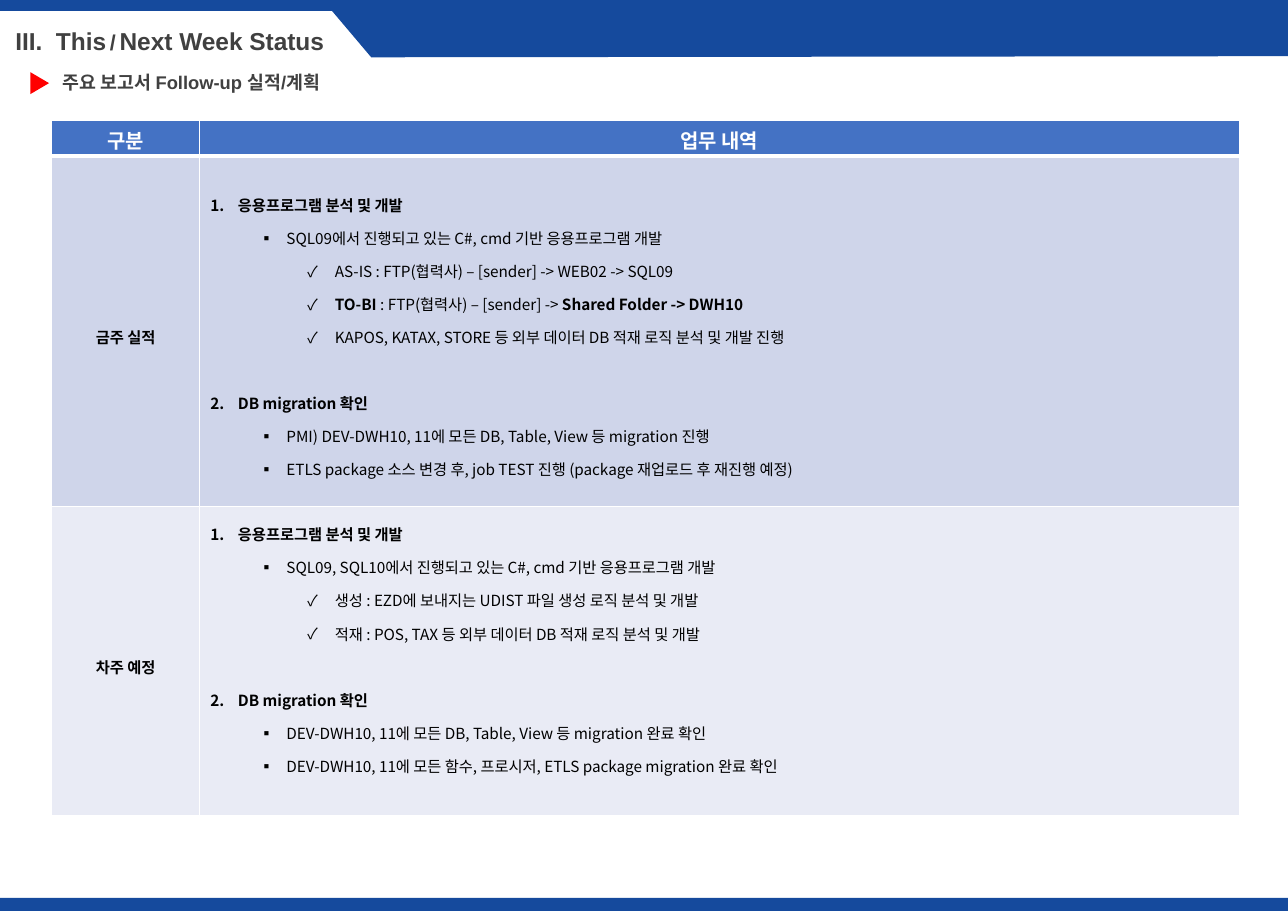
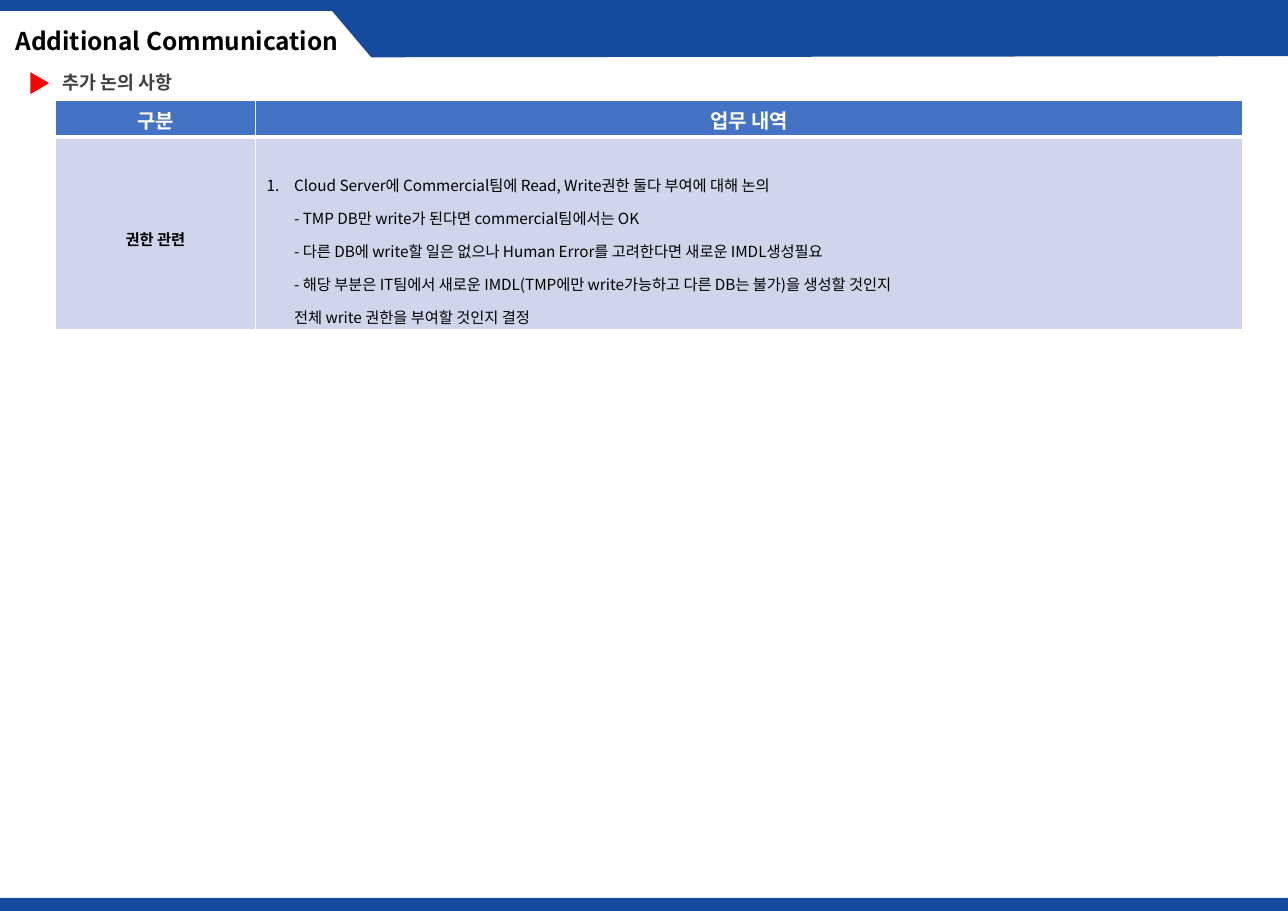
from lxml import etree
from pptx import Presentation
from pptx import util as u
from pptx.dml.color import RGBColor
from pptx.enum import shapes, text
from pptx.oxml import ns

Inches, Pt = u.Inches, u.Pt
KOREAN, LATIN = "Noto Sans CJK KR", "Arial"
NAVY, BLUE, GREY, WHITE, BLACK = "154A9D", "4472C4", "404040", "FFFFFF", "000000"
ROW_FILLS = [BLUE, "CFD5EA", "E9EBF5"]
HEADER_HEIGHT = 0.33
LINE = 21.6  # height in points of one 10 pt line at 1.5 spacing


def rgb(value):
    return RGBColor.from_string(value)


def add_span(para, words, size, color, bold=True, font=KOREAN):
    span = para.add_run()
    span.text = words
    span.font.size = Pt(size)
    span.font.bold = bold
    span.font.color.rgb = rgb(color)
    span.font.name = font
    east_asian = etree.SubElement(span._r.get_or_add_rPr(), ns.qn("a:ea"))
    east_asian.set("typeface", KOREAN)
    return span


# Content: title runs are (words, size, letter spacing); list lines are
# (level, run, run, ...), where a run is (words, bold)
WEEK_ROWS = [
    ("금주 실적", [
        (0, ("응용프로그램 분석 및 개발", True)),
        (1, ("SQL09에서 진행되고 있는 C#, cmd 기반 응용프로그램 개발", False)),
        (2, ("AS-IS : FTP(협력사) – [sender] -> WEB02 -> SQL09", False)),
        (2, ("TO-BI", True), (" : FTP(협력사) – [sender] -> ", False),
         ("Shared Folder -> DWH10", True)),
        (2, ("KAPOS, KATAX, STORE 등 외부 데이터 DB 적재 로직 분석 및 개발 진행", False)),
        (0, ("DB migration 확인", True)),
        (1, ("PMI) DEV-DWH10, 11에 모든 DB, Table, View 등 migration 진행", False)),
        (1, ("ETLS package 소스 변경 후, job TEST 진행 (package 재업로드 후 재진행 예정)", False)),
    ]),
    ("차주 예정", [
        (0, ("응용프로그램 분석 및 개발", True)),
        (1, ("SQL09, SQL10에서 진행되고 있는 C#, cmd 기반 응용프로그램 개발", False)),
        (2, ("생성 : EZD에 보내지는 UDIST 파일 생성 로직 분석 및 개발", False)),
        (2, ("적재 : POS, TAX 등 외부 데이터 DB 적재 로직 분석 및 개발", False)),
        (0, ("DB migration 확인", True)),
        (1, ("DEV-DWH10, 11에 모든 DB, Table, View 등 migration 완료 확인", False)),
        (1, ("DEV-DWH10, 11에 모든 함수, 프로시저, ETLS package migration 완료 확인", False)),
    ]),
]
ACCESS_ROWS = [
    ("권한 관련", [
        (0, ("Cloud Server에 Commercial팀에 Read, Write권한 둘다 부여에 대해 논의\n"
             "- TMP DB만 write가 된다면 commercial팀에서는 OK\n"
             "- 다른 DB에 write할 일은 없으나 Human Error를 고려한다면 새로운 IMDL생성필요\n"
             "- 해당 부분은 IT팀에서 새로운 IMDL(TMP에만 write가능하고 다른 DB는 불가)을 생성할 것인지\n"
             "전체 write 권한을 부여할 것인지 결정", False)),
    ]),
]
MIDDLE, BOTTOM = text.MSO_ANCHOR.MIDDLE, text.MSO_ANCHOR.BOTTOM
PAGES = [
    dict(title=[("III.  This", 16, 0), (" / ", 14, -150), ("Next Week Status", 16, 0)],
         font=LATIN, color=GREY, subtitle="주요 보고서 Follow-up 실적/계획",
         corner=(0.47, 1.09), columns=(1.34, 9.44), heights=(3.18, 2.8),
         rows=WEEK_ROWS, anchor=MIDDLE, bottoms=(0.05, 0.35)),
    dict(title=[("Additional Communication", 16, 0)],
         font=KOREAN, color=BLACK, subtitle="추가 논의 사항",
         corner=(0.5, 0.91), columns=(1.82, 8.96), heights=(1.75,),
         rows=ACCESS_ROWS, anchor=BOTTOM, bottoms=(0.01,)),
]

deck = Presentation()
deck.slide_width, deck.slide_height = Inches(11.69), Inches(8.27)
layout = deck.slide_layouts.get_by_name("Title Only")

# Layout: title position only, without date, footer and number
layout_title, *unused = layout.placeholders
for placeholder in unused:
    placeholder.element.getparent().remove(placeholder.element)
layout_title.left, layout_title.top = Inches(0.03), Inches(0.18)
layout_title.width, layout_title.height = Inches(3.2), Inches(0.38)
slides = [deck.slides.add_slide(layout) for _ in PAGES]

# Layout: bands drawn once, then moved from the first slide to the layout
canvas = slides[0].shapes
outline = canvas.build_freeform(Inches(2.93), 0)
outline.add_line_segments([(Inches(x), Inches(y)) for x, y in
                           [(11.69, 0), (11.69, 0.51), (3.37, 0.52)]])
bands = [outline.convert_to_shape()]
for top, width, height in [(8.15, 11.69, 0.12), (0, 4.09, 0.1)]:
    bands.append(canvas.add_shape(shapes.MSO_SHAPE.RECTANGLE, 0, Inches(top),
                                  Inches(width), Inches(height)))
for band in bands:
    band.shadow.inherit = False
    band.fill.solid()
    band.fill.fore_color.rgb = rgb(NAVY)
    band.line.fill.background()
    layout.shapes.element.append(band.element)

for slide, page in zip(slides, PAGES):
    # Title and subtitle
    title = slide.shapes.title
    subtitle = slide.shapes.add_textbox(Inches(0.46), Inches(0.59), Inches(9.89), Inches(0.31))
    for box in (title, subtitle):
        frame = box.text_frame
        frame.word_wrap = True
        frame.auto_size = text.MSO_AUTO_SIZE.NONE
        frame.vertical_anchor = MIDDLE
        frame.margin_left = frame.margin_right = Inches(0.11)
        frame.margin_top = frame.margin_bottom = Inches(0.06)
        frame.paragraphs[0].alignment = text.PP_ALIGN.LEFT
    for words, size, spacing in page["title"]:
        span = add_span(title.text_frame.paragraphs[0], words, size,
                        page["color"], font=page["font"])
        span._r.get_or_add_rPr().set("spc", str(spacing))
    add_span(subtitle.text_frame.paragraphs[0], page["subtitle"], 12, GREY, font=LATIN)

    # Red marker
    marker = slide.shapes.add_shape(shapes.MSO_SHAPE.ISOSCELES_TRIANGLE, Inches(0.26),
                                    Inches(0.67), Inches(0.2), Inches(0.17))
    marker.rotation = 90
    marker.shadow.inherit = False
    marker.fill.solid()
    marker.fill.fore_color.rgb = rgb("FF0000")
    marker.line.fill.background()

    # Table grid
    heights = (HEADER_HEIGHT, *page["heights"])
    left, top = page["corner"]
    table = slide.shapes.add_table(len(heights), 2, Inches(left), Inches(top),
                                   Inches(sum(page["columns"])), Inches(sum(heights))).table
    table.horz_banding = False
    for column, width in zip(table.columns, page["columns"]):
        column.width = Inches(width)
    for index, (row, height) in enumerate(zip(table.rows, heights)):
        row.height = Inches(height)
        edges = {"L": 1, "R": 1, "T": 3 if index == 1 else 1, "B": 3 if index == 0 else 1}
        for cell in row.cells:
            cell.vertical_anchor = MIDDLE
            cell.fill.solid()
            cell.fill.fore_color.rgb = rgb(ROW_FILLS[index])
            properties = cell._tc.get_or_add_tcPr()
            for place, (side, points) in enumerate(edges.items()):
                edge = etree.Element(ns.qn("a:ln" + side), w=str(Pt(points)))
                paint = etree.SubElement(edge, ns.qn("a:solidFill"))
                etree.SubElement(paint, ns.qn("a:srgbClr"), val=WHITE)
                properties.insert(place, edge)

    # Header row
    for cell, words in zip(table.rows[0].cells, ("구분", "업무 내역")):
        cell.margin_top, cell.margin_bottom = Inches(0.04), Inches(0.01)
        para = cell.text_frame.paragraphs[0]
        para.alignment = text.PP_ALIGN.CENTER
        add_span(para, words, 13, WHITE)

    # Body rows: label and list
    for index, (label, lines) in enumerate(page["rows"]):
        label_cell, list_cell = table.rows[index + 1].cells
        para = label_cell.text_frame.paragraphs[0]
        para.alignment = text.PP_ALIGN.CENTER
        para.line_spacing = 1.5
        add_span(para, label, 10, BLACK)

        list_cell.vertical_anchor = page["anchor"]
        list_cell.margin_bottom = Inches(page["bottoms"][index])
        frame = list_cell.text_frame
        for number, (level, *runs) in enumerate(lines):
            para = frame.add_paragraph() if number else frame.paragraphs[0]
            para.level = level
            para.line_spacing = 1.5
            if number and level == 0:
                para.space_before = Pt(LINE)
            properties = para._p.get_or_add_pPr()
            properties.set("marL", str(Inches(0.25 + 0.44 * level)))
            properties.set("indent", str(Inches(-0.25)))
            etree.SubElement(properties, ns.qn("a:buFont"), typeface=KOREAN)
            if level:
                etree.SubElement(properties, ns.qn("a:buChar"), char="▪✓"[level - 1])
            else:
                etree.SubElement(properties, ns.qn("a:buAutoNum"), type="arabicPeriod")
            for words, bold in runs:
                for part, piece in enumerate(words.split("\n")):
                    if part:
                        para.add_line_break()
                    add_span(para, piece, 10, BLACK, bold)

deck.save("out.pptx")
